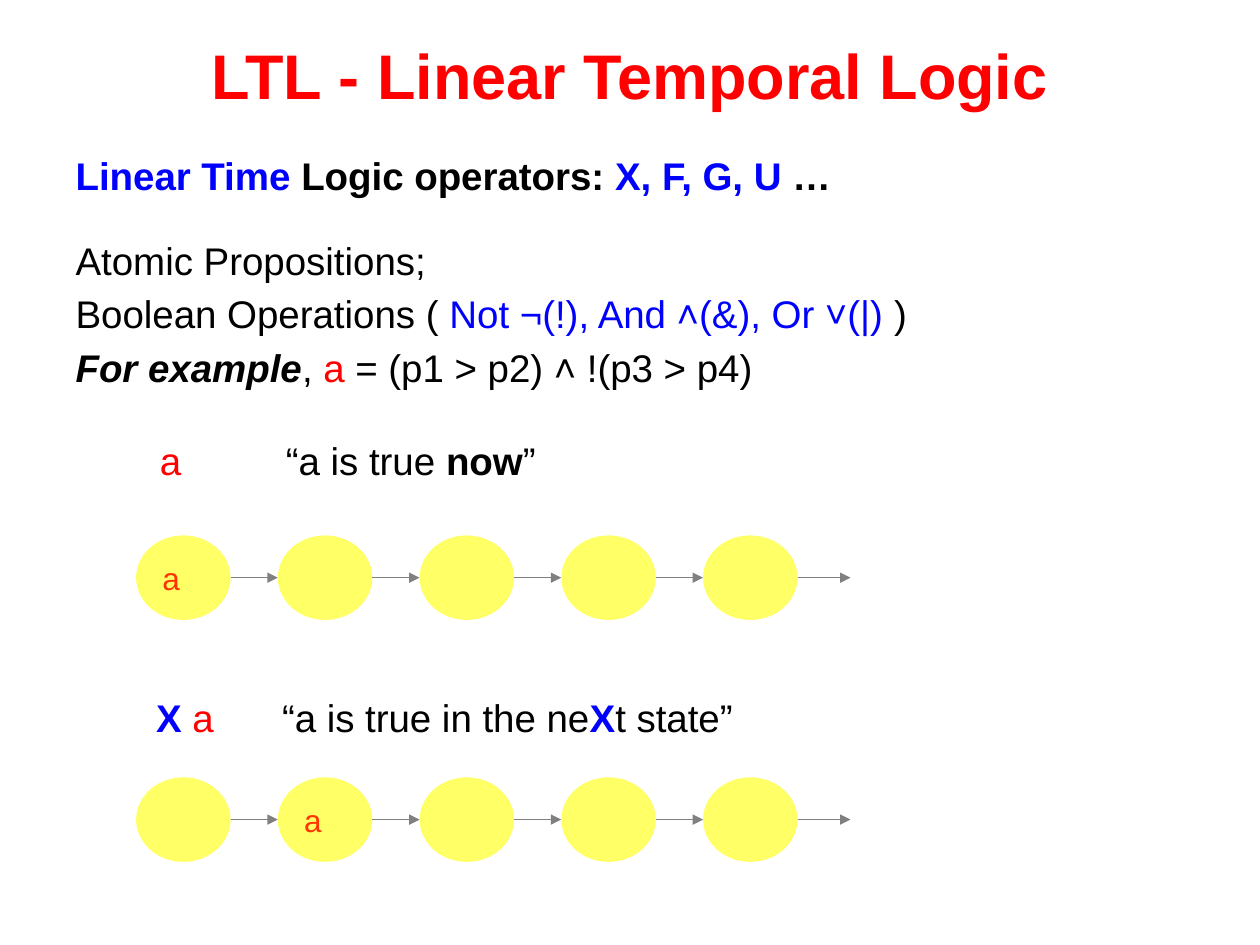
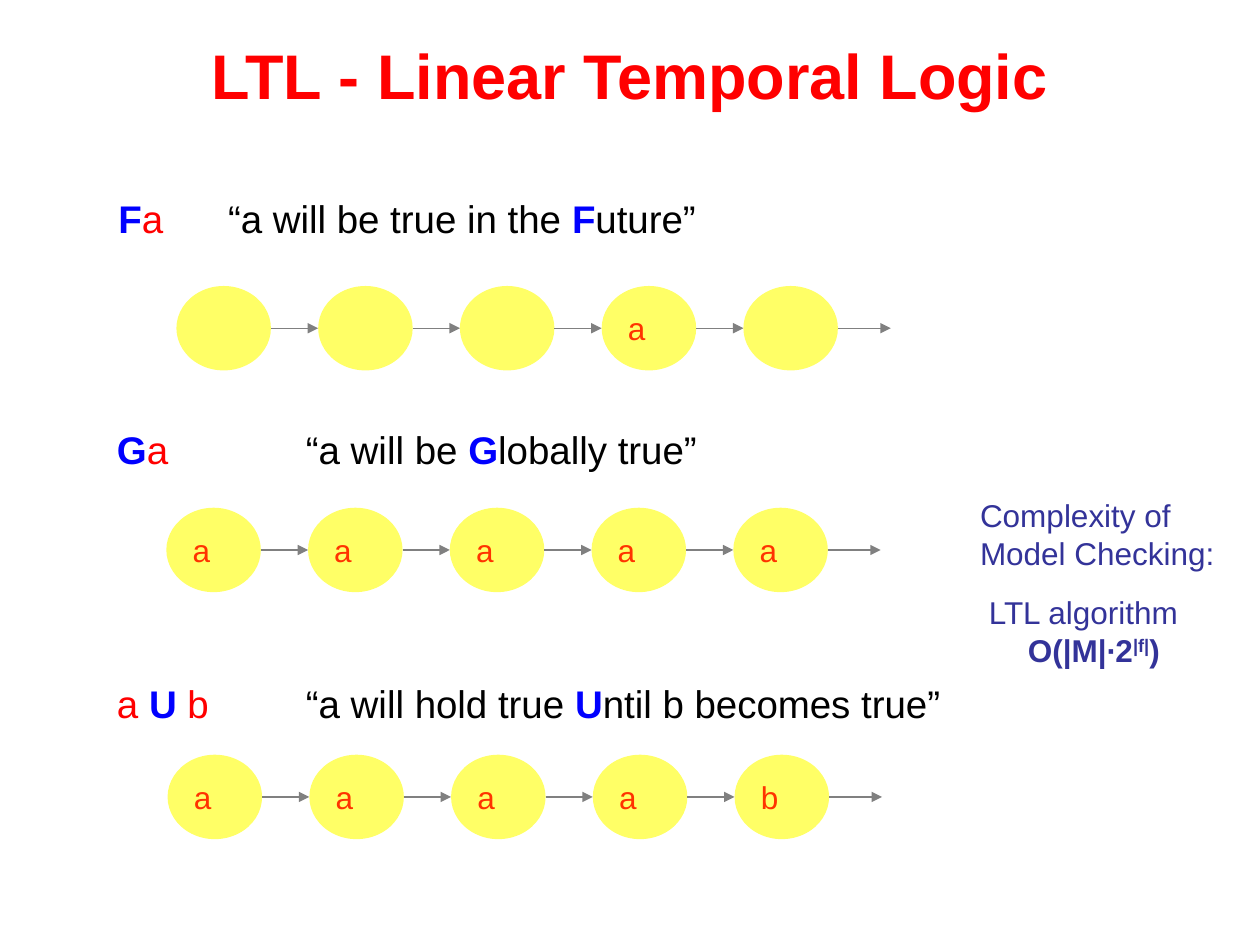
from pptx import Presentation
from pptx.dml.color import RGBColor
from pptx.enum.shapes import MSO_CONNECTOR, MSO_SHAPE
from pptx.enum.text import MSO_ANCHOR, MSO_AUTO_SIZE, PP_ALIGN
from pptx.oxml.ns import qn
from pptx.util import Inches, Pt
from lxml.etree import SubElement

RED, BLUE, BLACK = "FF0000", "0000FF", "000000"
STATE_FILL, STATE_TEXT, ARROW, NOTE = "FFFF66", "FF3300", "808080", "333399"
STATE_W, STATE_H, LAST_ARROW = 0.75, 0.67, 0.42
STEP = STATE_W * 1.5


def add_runs(paragraph, size, runs):
    for text, color, style in runs:
        run = paragraph.add_run()
        run.text = text
        run.font.name = "Arial"
        run.font.size = Pt(size)
        run.font.bold = "b" in style
        run.font.italic = "i" in style
        run.font.color.rgb = RGBColor.from_string(color)
        if "s" in style:
            run.font._element.set("baseline", "30000")


def set_indent(paragraph, margin=0, first=0):
    props = paragraph._p.get_or_add_pPr()
    props.set("marL", str(Inches(margin)))
    props.set("indent", str(Inches(first)))
    SubElement(props, qn("a:buNone"))


now = [("a\t", RED, ""), ("“a is true ", BLACK, ""), ("now", BLACK, "b"), ("”", BLACK, "")]
next_state = [("X", BLUE, "b"), (" a\t", RED, ""), ("“a is true in the ne", BLACK, ""),
              ("X", BLUE, "b"), ("t state”", BLACK, "")]
future = [("F", BLUE, "b"), ("a\t", RED, ""), ("“a will be true in the ", BLACK, ""),
          ("F", BLUE, "b"), ("uture”", BLACK, "")]
globally = [("G", BLUE, "b"), ("a\t", RED, ""), ("“a will be ", BLACK, ""),
            ("G", BLUE, "b"), ("lobally true”", BLACK, "")]
until = [("a ", RED, ""), ("U", BLUE, "b"), (" b\t", RED, ""), ("“a will hold true ", BLACK, ""),
         ("U", BLUE, "b"), ("ntil b becomes true”", BLACK, "")]

prs = Presentation()
prs.slide_width, prs.slide_height = Inches(10), Inches(7.5)
basics, operators = [prs.slides.add_slide(prs.slide_layouts[1]) for _ in range(2)]

for slide in (basics, operators):
    title = slide.shapes.title
    title.left, title.top, title.width, title.height = map(Inches, (0.5, 0.09, 9, 1.08))
    title.text_frame.vertical_anchor = MSO_ANCHOR.MIDDLE
    heading = title.text_frame.paragraphs[0]
    heading.alignment = PP_ALIGN.CENTER
    heading.line_spacing = 0.9
    add_runs(heading, 36, [("LTL - Linear Temporal Logic", RED, "b")])

syntax = basics.placeholders[1]
syntax.left, syntax.top, syntax.width, syntax.height = map(Inches, (0.5, 1.16, 8.92, 2.08))
syntax.text_frame.auto_size = MSO_AUTO_SIZE.NONE
syntax_lines = [
    (0, [("Linear Time ", BLUE, "b"), ("Logic operators: ", BLACK, "b"),
         ("X, F, G, U ", BLUE, "b"), ("…", BLACK, "b")]),
    (21.7, [("Atomic Propositions;", BLACK, "")]),
    (4.2, [("Boolean Operations ( ", BLACK, ""), ("Not ¬(!), And ˄(&), Or ˅(|) ", BLUE, ""),
           (")", BLACK, "")]),
    (4.2, [("For example", BLACK, "bi"), (", ", BLACK, ""), ("a ", RED, ""),
           ("= (p1 > p2) ˄ !(p3 > p4)", BLACK, "")]),
]
for number, (gap, runs) in enumerate(syntax_lines):
    frame = syntax.text_frame
    line = frame.add_paragraph() if number else frame.paragraphs[0]
    line.space_before = Pt(gap)
    set_indent(line)
    add_runs(line, 22, runs)

formulas = [
    (basics, None, (1.17, 3.42, 4.42, 0.47), 1, now, (1.08, 4.25), ["a", "", "", "", ""]),
    (basics, None, (1.14, 5.46, 4.84, 0.47), 1, next_state, (1.08, 6.17), ["", "a", "", "", ""]),
    (operators, operators.placeholders[1], (0.84, 1.5, 8.65, 0.58), 0.87, future,
     (1.4, 2.27), ["", "", "", "a", ""]),
    (operators, None, (0.83, 3.33, 5.09, 0.47), 1.5, globally, (1.32, 4.03), ["a"] * 5),
    (operators, None, (0.83, 5.35, 7.75, 0.47), 1.5, until, (1.33, 5.99), ["a"] * 4 + ["b"]),
]
for slide, label, place, hang, runs, (left, top), states in formulas:
    box = [Inches(length) for length in place]
    if label:
        label.left, label.top, label.width, label.height = box
    else:
        label = slide.shapes.add_textbox(*box)
    label.text_frame.word_wrap = True
    label.text_frame.auto_size = MSO_AUTO_SIZE.NONE
    meaning = label.text_frame.paragraphs[0]
    set_indent(meaning, hang, -hang)
    add_runs(meaning, 22, runs)

    for index, proposition in enumerate(states):
        x = left + index * STEP
        state = slide.shapes.add_shape(MSO_SHAPE.OVAL, Inches(x), Inches(top),
                                       Inches(STATE_W), Inches(STATE_H))
        state.shadow.inherit = False
        state.fill.solid()
        state.fill.fore_color.rgb = RGBColor.from_string(STATE_FILL)
        state.line.fill.background()
        if proposition:
            state.text_frame.vertical_anchor = MSO_ANCHOR.MIDDLE
            state.text_frame.word_wrap = False
            holds = state.text_frame.paragraphs[0]
            holds.alignment = PP_ALIGN.LEFT
            add_runs(holds, 18, [(proposition, STATE_TEXT, "")])

        start = x + STATE_W
        end = start + (LAST_ARROW if index == len(states) - 1 else STEP - STATE_W)
        middle = Inches(top + STATE_H / 2)
        step = slide.shapes.add_connector(MSO_CONNECTOR.STRAIGHT, Inches(start), middle,
                                          Inches(end), middle)
        step.line.color.rgb = RGBColor.from_string(ARROW)
        step.line.width = Pt(0.75)
        SubElement(step.line._get_or_add_ln(), qn("a:tailEnd"), type="triangle")
        SubElement(step._element.spPr, qn("a:effectLst"))

complexity = operators.shapes.add_textbox(*map(Inches, (7.68, 3.89, 2.17, 1.48))).text_frame
complexity.word_wrap = True
subject = complexity.paragraphs[0]
subject.space_after = Pt(6)
add_runs(subject, 18, [("Complexity of Model Checking:", NOTE, "")])
bound = complexity.add_paragraph()
bound.space_before = Pt(6)
set_indent(bound, 0.38, -0.31)
add_runs(bound, 18, [("LTL algorithm ", NOTE, ""), ("O(|M|∙2", NOTE, "b"),
                     ("|f|", NOTE, "bs"), (")", NOTE, "b")])

prs.save("out.pptx")
